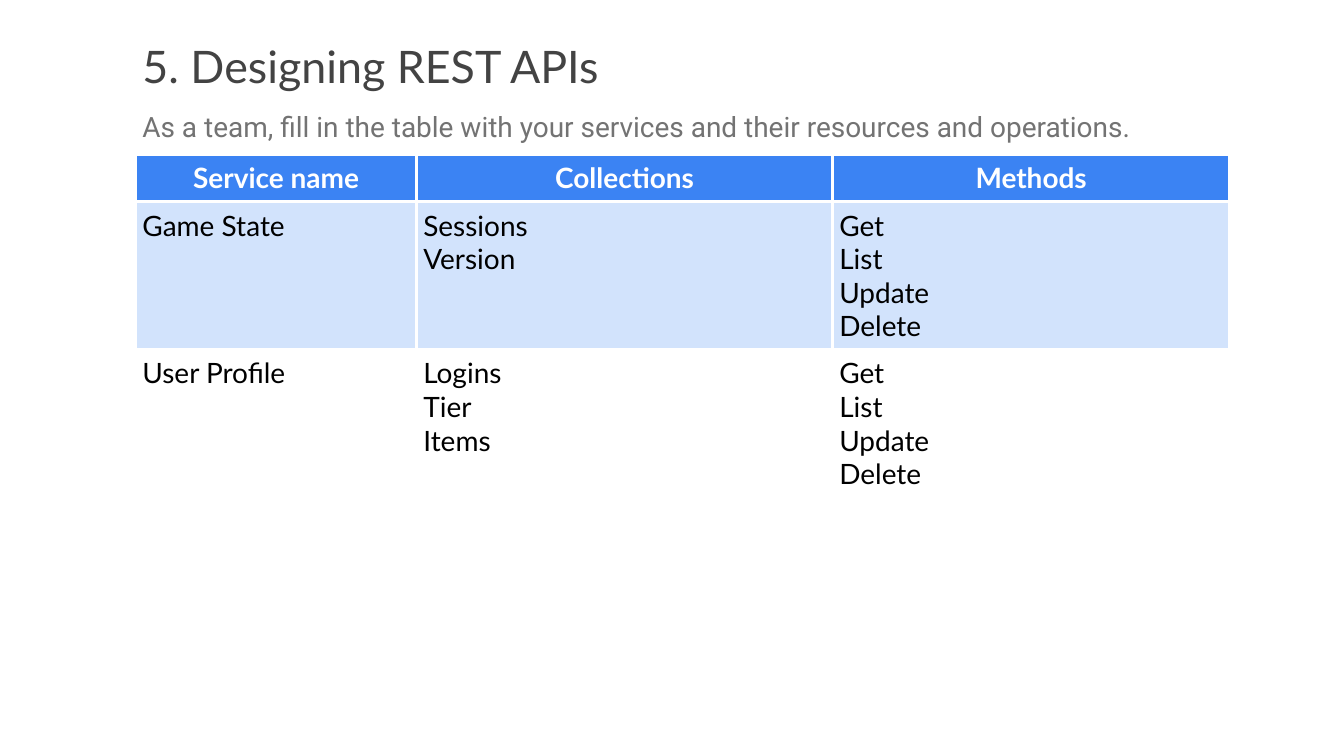
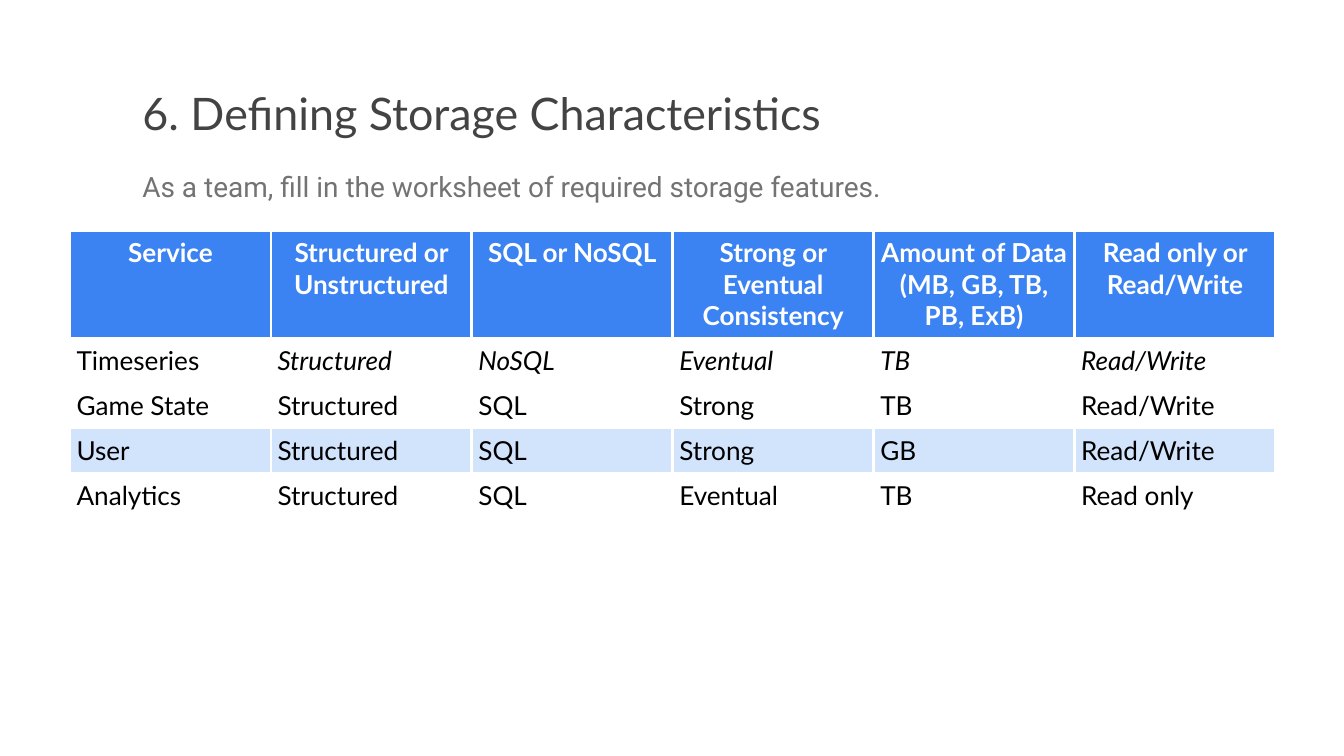
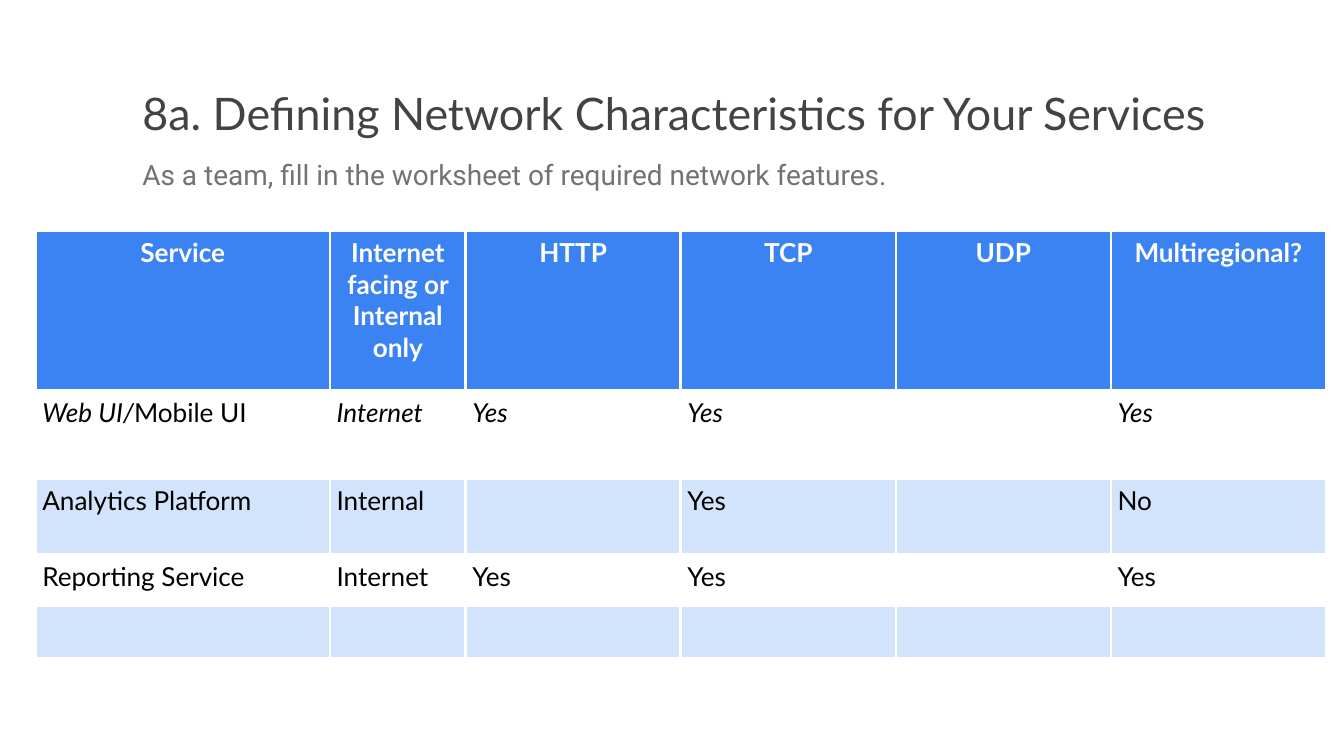
from lxml import etree
from pptx import Presentation
from pptx.dml.color import RGBColor
from pptx.enum.text import MSO_ANCHOR, MSO_AUTO_SIZE, PP_ALIGN
from pptx.oxml.ns import qn
from pptx.util import Inches, Pt

LEFT, CENTER = PP_ALIGN.LEFT, PP_ALIGN.CENTER
TOP = MSO_ANCHOR.TOP
NO_AUTOFIT = MSO_AUTO_SIZE.NONE
TITLE_ONLY = 5

WHITE, BLACK = "FFFFFF", "000000"
BLUE, PALE_BLUE = "3B83F3", "D2E3FC"
DARK_GRAY, GRAY = "434343", "737373"
HEAD_FONT, BODY_FONT = "Lato", "Roboto"
MARGIN = Inches(0.1)
TEXT_LEFT = 2.02


def rgb(value):
    """Turn a hex string into a colour."""
    return RGBColor.from_string(value)


def format_run(r, size, font, color, bold=False, italic=False):
    """Apply the character style to a run."""
    r.font.size = Pt(size)
    r.font.name = font
    r.font.bold = bold
    r.font.italic = italic
    r.font.color.rgb = rgb(color)


def set_borders(cell, color, width):
    """Draw the four borders of a table cell."""
    tc_pr = cell._tc.get_or_add_tcPr()
    for side in ("a:lnL", "a:lnR", "a:lnT", "a:lnB"):
        ln = etree.SubElement(tc_pr, qn(side), w=str(Pt(width)))
        fill = etree.SubElement(ln, qn("a:solidFill"))
        etree.SubElement(fill, qn("a:srgbClr"), val=color)


class Deck:
    """Hold the presentation style and the current slide."""

    def __init__(self):
        """Start an empty presentation."""
        self.prs = Presentation()
        self.prs.slide_width = Inches(20)
        self.prs.slide_height = Inches(11.25)

    def add_slide(self):
        """Start a white title-only slide."""
        self.s = self.prs.slides.add_slide(self.prs.slide_layouts[TITLE_ONLY])
        self.s.background.fill.solid()
        self.s.background.fill.fore_color.rgb = rgb(WHITE)

    def fill_frame(self, sp, text, size, font, color):
        """Write one left-aligned paragraph and return it."""
        tf = sp.text_frame
        tf.text = text
        tf.word_wrap = True
        tf.auto_size = NO_AUTOFIT
        tf.vertical_anchor = TOP
        tf.margin_left = tf.margin_right = MARGIN
        tf.margin_top = tf.margin_bottom = MARGIN
        p = tf.paragraphs[0]
        p.alignment = LEFT
        format_run(p.runs[0], size, font, color)
        return p

    def title(self, text, top, width=15.98):
        """Place and format the slide title."""
        sp = self.s.shapes.title
        sp.left, sp.top = Inches(TEXT_LEFT), Inches(top)
        sp.width, sp.height = Inches(width), Inches(1.18)
        self.fill_frame(sp, text, 48, HEAD_FONT, DARK_GRAY)

    def instruction(self, text, top, width, height):
        """Add the gray task line below the title."""
        sp = self.s.shapes.add_textbox(Inches(TEXT_LEFT), Inches(top),
                                       Inches(width), Inches(height))
        p = self.fill_frame(sp, text, 30, BODY_FONT, GRAY)
        p.line_spacing = 1.15
        p.space_after = Pt(16)

    def cell(self, cell, text, size, header, shaded):
        """Fill a cell; a newline splits paragraphs, asterisks mark italics."""
        cell.margin_left = cell.margin_right = MARGIN
        cell.margin_top = cell.margin_bottom = MARGIN
        cell.vertical_anchor = TOP
        set_borders(cell, WHITE, 3)
        if header or shaded:
            cell.fill.solid()
            cell.fill.fore_color.rgb = rgb(BLUE if header else PALE_BLUE)
        else:
            cell.fill.background()
        tf = cell.text_frame
        tf.text = text
        for p in tf.paragraphs:
            p.alignment = CENTER if header else LEFT
            parts = p.text.split("*")
            p.clear()
            for i, part in enumerate(parts):
                if part:
                    r = p.add_run()
                    r.text = part
                    format_run(r, size, HEAD_FONT, WHITE if header else BLACK,
                               bold=header, italic=i % 2 == 1)

    def table(self, left, top, cols, heights, rows, size, shaded):
        """Add a table with a blue header and the given shaded rows."""
        frame = self.s.shapes.add_table(
            len(rows), len(cols), Inches(left), Inches(top),
            Inches(sum(cols)), Inches(sum(heights)))
        table = frame.table
        table.first_row = table.horz_banding = False
        for column, width in zip(table.columns, cols):
            column.width = Inches(width)
        for i, (row, height) in enumerate(zip(rows, heights)):
            table.rows[i].height = Inches(height)
            for j, text in enumerate(row):
                self.cell(table.cell(i, j), text, size, i == 0, i in shaded)


deck = Deck()

deck.add_slide()
deck.title("5. Designing REST APIs", 0.48)
deck.instruction("As a team, fill in the table with your services and their "
                 "resources and operations.", 1.46, 16.28, 0.84)
methods = "Get\nList\nUpdate\nDelete"
deck.table(2.02, 2.3, [4.18, 6.19, 5.91], [0.7, 2.2, 2.2], [
    ["Service name", "Collections", "Methods"],
    ["Game State", "Sessions\nVersion", methods],
    ["User Profile", "Logins\nTier\nItems", methods],
], 30, shaded=[1])

deck.add_slide()
deck.title("6. Defining Storage Characteristics", 1.18)
deck.instruction("As a team, fill in the worksheet of required storage "
                 "features.", 2.35, 16.52, 0.74)
deck.table(1.04, 3.43, [2.99] * 6, [1.6] + [0.67] * 4, [
    ["Service", "Structured or Unstructured", "SQL or NoSQL",
     "Strong or Eventual Consistency", "Amount of Data (MB, GB, TB, PB, ExB)",
     "Read only or Read/Write"],
    ["Timeseries", "*Structured*", "*NoSQL*", "*Eventual*", "*TB*",
     "*Read/Write*"],
    ["Game State", "Structured", "SQL", "Strong", "TB", "Read/Write"],
    ["User", "Structured", "SQL", "Strong", "GB", "Read/Write"],
    ["Analytics", "Structured", "SQL", "Eventual", "TB", "Read only"],
], 28, shaded=[3])

deck.add_slide()
deck.title("8a. Defining Network Characteristics for Your Services", 1.18,
           width=17.73)
deck.instruction("As a team, fill in the worksheet of required network "
                 "features.", 2.17, 13.66, 0.55)
deck.table(0.53, 3.43, [4.38, 2.02] + [3.2] * 4,
           [2.38, 1.31, 1.13] + [0.77] * 3, [
    ["Service", "Internet facing or Internal only", "HTTP", "TCP", "UDP",
     "Multiregional?"],
    ["*Web UI/*Mobile UI", "*Internet*", "*Yes*", "*Yes*", "", "*Yes*"],
    ["Analytics Platform", "Internal", "", "Yes", "", "No"],
    ["Reporting Service", "Internet", "Yes", "Yes", "", "Yes"],
    [""] * 6,
    [""] * 6,
], 28, shaded=[2, 4])

deck.prs.save("out.pptx")
